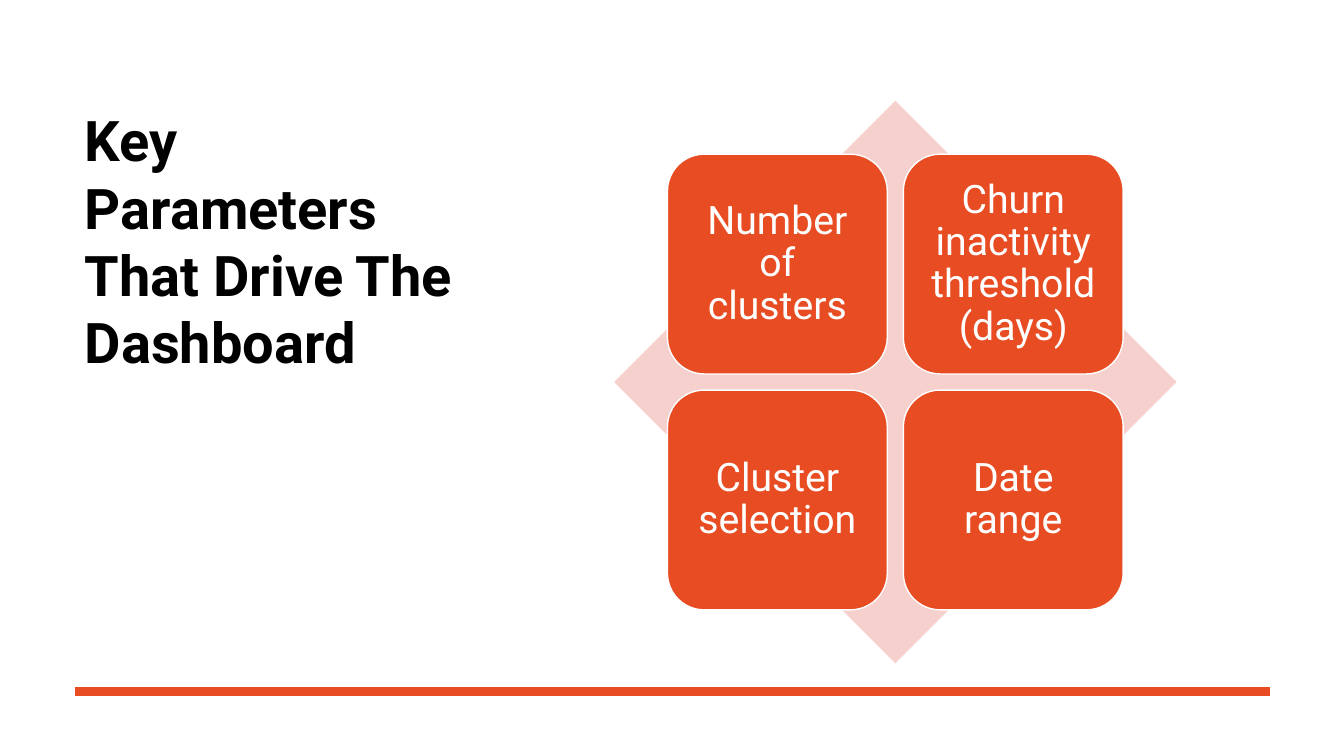
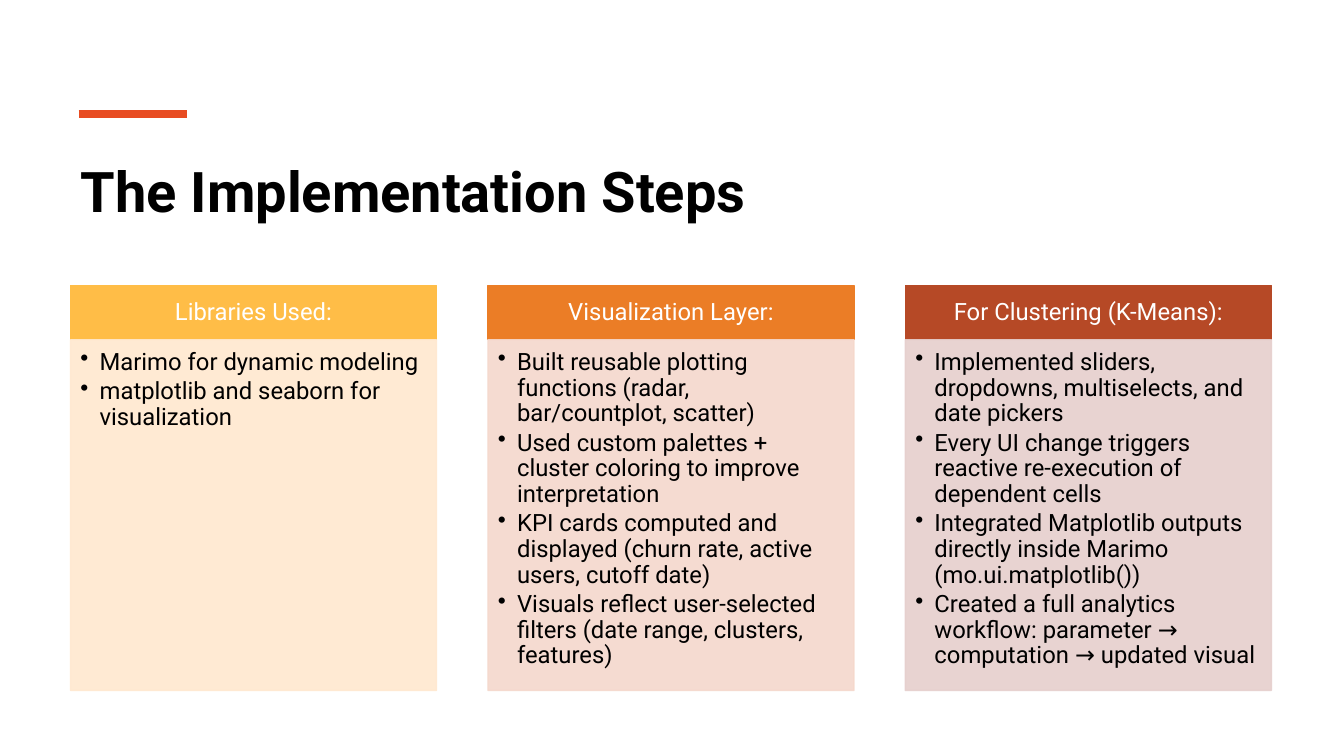
import pptx
import pptx.util
import pptx.dml.color
import pptx.enum.shapes
import pptx.enum.text
import pptx.oxml
import pptx.oxml.ns
import lxml.etree

Inches = pptx.util.Inches
Pt = pptx.util.Pt
SHAPE = pptx.enum.shapes.MSO_SHAPE
ALIGN = pptx.enum.text.PP_ALIGN
ANCHOR = pptx.enum.text.MSO_ANCHOR
qn = pptx.oxml.ns.qn


def color(hex_value):
    return pptx.dml.color.RGBColor.from_string(hex_value)


class Deck:
    """Holds the shared style and the slide being built."""

    FONT = "Roboto"
    ACCENT = "E84C22"
    INK = "000000"
    WHITE = "FFFFFF"
    TITLE_ONLY = 5

    def __init__(self):
        self.presentation = pptx.Presentation()
        self.presentation.slide_width = Inches(13.33)
        self.presentation.slide_height = Inches(7.5)
        self.slide = None

    def new_slide(self, title, left, top, width, height):
        layout = self.presentation.slide_layouts[self.TITLE_ONLY]
        self.slide = self.presentation.slides.add_slide(layout)
        heading = self.slide.shapes.title
        heading.left, heading.top = Inches(left), Inches(top)
        heading.width, heading.height = Inches(width), Inches(height)
        self.set_text(heading, [title], 40, self.INK, bold=True,
                      align=ALIGN.LEFT, anchor=ANCHOR.TOP, spacing=1.0,
                      insets=(0.1, 0.05, 0.1, 0.05))

    def rule(self, left, right, y):
        rule = self.slide.shapes.add_connector(
            pptx.enum.shapes.MSO_CONNECTOR.STRAIGHT,
            Inches(left), Inches(y), Inches(right), Inches(y))
        rule.line.color.rgb = color(self.ACCENT)
        rule.line.width = Pt(6)
        lxml.etree.SubElement(rule.element.spPr, qn("a:effectLst"))

    def block(self, preset, left, top, width, height, fill, outline=None, opacity=100):
        block = self.slide.shapes.add_shape(
            preset, Inches(left), Inches(top), Inches(width), Inches(height))
        block.shadow.inherit = False
        block.fill.solid()
        block.fill.fore_color.rgb = color(fill)
        if outline:
            block.line.color.rgb = color(outline)
            block.line.width = Pt(1)
        else:
            block.line.fill.background()
        if opacity < 100:
            for tint in block.element.spPr.iter(qn("a:srgbClr")):
                lxml.etree.SubElement(tint, qn("a:alpha"), val=str(opacity * 1000))
        return block

    def set_text(self, holder, lines, size, ink, insets, bold=False, align=ALIGN.CENTER,
                 anchor=ANCHOR.MIDDLE, spacing=0.9, bullets=False):
        frame = holder.text_frame
        frame.word_wrap = True
        frame.auto_size = pptx.enum.text.MSO_AUTO_SIZE.NONE
        frame.vertical_anchor = anchor
        (frame.margin_left, frame.margin_top,
         frame.margin_right, frame.margin_bottom) = map(Inches, insets)
        frame.text = "\n".join(lines)
        for paragraph in frame.paragraphs:
            paragraph.alignment = align
            paragraph.line_spacing = spacing
            font = paragraph.font
            font.name, font.size, font.bold = self.FONT, Pt(size), bold
            font.color.rgb = color(ink)
            if bullets:
                paragraph.space_after = Pt(size * 0.15)
                self.add_bullet(paragraph)

    def add_bullet(self, paragraph, indent=0.19):
        properties = paragraph._p.get_or_add_pPr()
        properties.set("marL", str(Inches(indent)))
        properties.set("indent", str(-Inches(indent)))
        bullet = properties.makeelement(qn("a:buChar"), {"char": "•"})
        properties.find(qn("a:spcAft")).addnext(bullet)

    def tile(self, text, left, top, side):
        tile = self.block(SHAPE.ROUNDED_RECTANGLE, left, top, side, side,
                          self.ACCENT, self.WHITE)
        self.set_text(tile, [text], 28, self.WHITE, insets=(0.12,) * 4)

    def column(self, heading, items, left, header_fill, body_fill):
        top, width, header_height, body_height = 2.83, 3.63, 0.54, 3.48
        header = self.block(SHAPE.RECTANGLE, left, top, width, header_height,
                            header_fill, header_fill)
        self.set_text(header, [heading], 17, self.WHITE, insets=(0.13, 0.08, 0.13, 0.08))
        body = self.block(SHAPE.RECTANGLE, left, top + header_height, width, body_height,
                          body_fill, body_fill, opacity=90)
        self.set_text(body, items, 17, self.INK, insets=(0.1, 0.1, 0.13, 0.15),
                      align=ALIGN.LEFT, anchor=ANCHOR.TOP, bullets=True)


PARAMETERS = ["Number of clusters", "Churn inactivity threshold (days)",
              "Cluster selection", "Date range"]

STEPS = [
    ("Libraries Used:", "FFBD47", "FFE8CF", [
        "Marimo for dynamic modeling",
        "matplotlib and seaborn for visualization",
    ]),
    ("Visualization Layer:", "EB7D26", "F5D8CC", [
        "Built reusable plotting functions (radar, bar/countplot, scatter)",
        "Used custom palettes + cluster coloring to improve interpretation",
        "KPI cards computed and displayed (churn rate, active users, cutoff date)",
        "Visuals reflect user-selected filters (date range, clusters, features)",
    ]),
    ("For Clustering (K-Means):", "B64926", "E6CFCD", [
        "Implemented sliders, dropdowns, multiselects, and date pickers",
        "Every UI change triggers reactive re-execution of dependent cells",
        "Integrated Matplotlib outputs directly inside Marimo (mo.ui.matplotlib())",
        "Created a full analytics workflow: parameter → computation → updated visual",
    ]),
]


def main():
    deck = Deck()

    # Parameters: four tiles on a diamond
    deck.new_slide("Key Parameters That Drive The Dashboard", 0.74, 1, 4.02, 4.55)
    deck.rule(0.74, 12.6, 6.86)
    diamond_left, diamond_top, diamond_side = 6.09, 1, 5.58
    deck.block(SHAPE.DIAMOND, diamond_left, diamond_top, diamond_side, diamond_side, "F6D0CD")
    tile_side, tile_pitch = 2.18, 2.34
    margin = (diamond_side - tile_side - tile_pitch) / 2
    for index, parameter in enumerate(PARAMETERS):
        row, col = divmod(index, 2)
        deck.tile(parameter, diamond_left + margin + col * tile_pitch,
                  diamond_top + margin + row * tile_pitch, tile_side)

    # Implementation steps: three columns
    deck.new_slide("The Implementation Steps", 0.7, 1.5, 11.91, 1.2)
    deck.rule(0.78, 1.85, 1.13)
    for index, (heading, header_fill, body_fill, items) in enumerate(STEPS):
        deck.column(heading, items, 0.7 + index * 4.14, header_fill, body_fill)

    deck.presentation.save("out.pptx")


if __name__ == "__main__":
    main()
